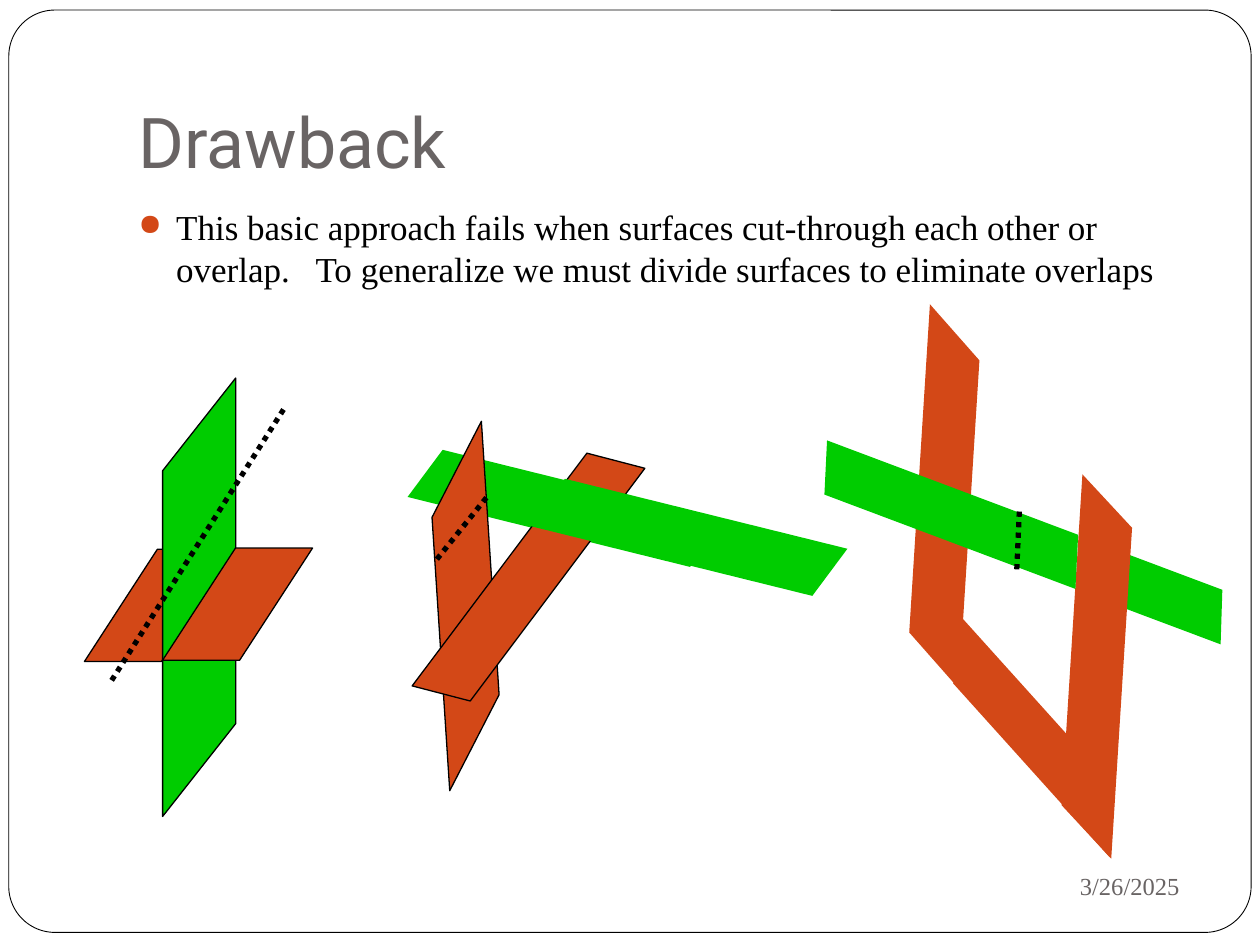
from dataclasses import dataclass

from lxml.etree import SubElement
from pptx import Presentation
from pptx.dml.color import RGBColor
from pptx.enum.dml import MSO_LINE
from pptx.enum.shapes import MSO_CONNECTOR, MSO_SHAPE
from pptx.enum.text import MSO_ANCHOR, PP_ALIGN
from pptx.oxml.ns import qn
from pptx.util import Inches, Pt

COLUMNS, ROWS = 100, 75
CELL = Inches(10) / COLUMNS


@dataclass(frozen=True)
class Theme:
    """Colours, fonts and type sizes of the slide."""
    paper: str = "FFFFFF"
    ink: str = "000000"
    muted: str = "696464"
    brown: str = "D34817"
    green: str = "00CC00"
    heading_font: str = "Roboto"
    body_font: str = "Times New Roman"
    heading_size: int = 40
    body_size: int = 20
    date_size: int = 14
    frame_line: float = 0.5
    outline: float = 0.75
    cut_line: float = 3


THEME = Theme()


def cells(*counts):
    """Convert counts of grid cells to slide lengths."""
    return [round(count * CELL) for count in counts]


def add_bullet(paragraph, color):
    """Give a paragraph a hanging round bullet."""
    indent = Inches(0.3)
    properties = paragraph._p.get_or_add_pPr()
    properties.set("marL", str(indent))
    properties.set("indent", str(-indent))
    bullet_color = SubElement(properties, qn("a:buClr"))
    SubElement(bullet_color, qn("a:srgbClr"), val=color)
    SubElement(properties, qn("a:buSzPct"), val="85000")
    SubElement(properties, qn("a:buChar"), char="●")


def add_text(slide, text, box, *, size, color, font=THEME.body_font,
             anchor=MSO_ANCHOR.TOP, align=PP_ALIGN.LEFT, bottom=0.05,
             space_before=0, bullet=None):
    """Write one formatted paragraph in a box given in grid cells."""
    frame = slide.shapes.add_textbox(*cells(*box)).text_frame
    frame.word_wrap = True
    frame.vertical_anchor = anchor
    frame.margin_bottom = Inches(bottom)
    paragraph = frame.paragraphs[0]
    paragraph.alignment = align
    paragraph.space_before = Pt(space_before)
    if bullet:
        add_bullet(paragraph, bullet)
    run = paragraph.add_run()
    run.text = text
    run.font.name = font
    run.font.size = Pt(size)
    run.font.color.rgb = RGBColor.from_string(color)


def add_preset(slide, preset, box, fill, *, adjust, outline=None):
    """Draw a preset shape with one adjustment and an optional black outline."""
    shape = slide.shapes.add_shape(preset, *cells(*box))
    shape.shadow.inherit = False
    shape.adjustments[0] = adjust
    shape.fill.solid()
    shape.fill.fore_color.rgb = RGBColor.from_string(fill)
    if outline:
        shape.line.width = Pt(outline)
        shape.line.color.rgb = RGBColor.from_string(THEME.ink)
    else:
        shape.line.fill.background()
    return shape


def add_surface(slide, box, fill, slant, *, turn=0, mirrored=False, outline=None):
    """Draw a slanted surface, turned clockwise in degrees."""
    surface = add_preset(slide, MSO_SHAPE.PARALLELOGRAM, box, fill,
                         adjust=slant, outline=outline)
    surface.rotation = turn
    if mirrored:
        surface._element.spPr.xfrm.set("flipH", "1")


def add_cut(slide, start, end):
    """Draw the dotted line along which a surface is divided."""
    cut = slide.shapes.add_connector(MSO_CONNECTOR.STRAIGHT, *cells(*start, *end))
    cut.line.width = Pt(THEME.cut_line)
    cut.line.color.rgb = RGBColor.from_string(THEME.ink)
    cut.line.dash_style = MSO_LINE.ROUND_DOT
    SubElement(cut._element.spPr, qn("a:effectLst"))


def add_crossing_planes(slide):
    """Draw two planes that cut through each other."""
    edge = THEME.outline
    add_surface(slide, (6.7, 43.6, 11.9, 8.9), THEME.brown, 0.65, outline=edge)
    add_surface(slide, (-1.6, 44.5, 34.8, 5.8), THEME.green, 1.27,
                turn=270, mirrored=True, outline=edge)
    add_surface(slide, (12.9, 43.5, 11.9, 8.9), THEME.brown, 0.65, outline=edge)
    add_cut(slide, (22.5, 32.5), (8.8, 54.1))


def add_overlapping_strips(slide):
    """Draw three strips that overlap in a cycle."""
    edge = THEME.outline
    add_surface(slide, (32.5, 38.2, 24.9, 4.3), THEME.green, 0.42, turn=13.9)
    add_surface(slide, (22.4, 45.9, 29.1, 4.4), THEME.brown, 1.67,
                turn=86.3, mirrored=True, outline=edge)
    add_surface(slide, (29.5, 43.6, 24.9, 4.4), THEME.brown, 0.41,
                turn=306.9, mirrored=True, outline=edge)
    add_surface(slide, (42.2, 40.5, 24.9, 4.3), THEME.green, 0.42, turn=13.9)
    add_cut(slide, (38.6, 39.5), (34.5, 44.6))


def add_threaded_bend(slide):
    """Draw a strip that passes behind and in front of a bent surface."""
    add_surface(slide, (88.4, 45.5, 9.5, 4.1), THEME.green, 0.34,
                turn=20.6, mirrored=True)
    add_surface(slide, (59.8, 37.3, 30.3, 4.2), THEME.brown, 1, turn=93.6)
    add_surface(slide, (70.7, 56.3, 22.6, 4), THEME.brown, 1.01,
                turn=48, mirrored=True)
    add_surface(slide, (71.9, 50.8, 30.3, 4.2), THEME.brown, 0.95, turn=93.6)
    add_surface(slide, (64.2, 38.8, 22.6, 4.1), THEME.green, 0.32,
                turn=20.6, mirrored=True)
    add_cut(slide, (80.9, 40.6), (80.7, 45.2))


def main():
    """Build and save the slide."""
    deck = Presentation()
    deck.slide_width, deck.slide_height = cells(COLUMNS, ROWS)
    slide = deck.slides.add_slide(deck.slide_layouts[6])
    add_preset(slide, MSO_SHAPE.ROUNDED_RECTANGLE, (0.7, 0.8, 98.6, 73.2),
               THEME.paper, adjust=0.05, outline=THEME.frame_line)
    add_text(slide, "Drawback", (10, 3, 85, 12.5), size=THEME.heading_size,
             color=THEME.muted, font=THEME.heading_font,
             anchor=MSO_ANCHOR.BOTTOM, bottom=0.1)
    add_text(slide, "3/26/2025", (67.5, 67.7, 27.1, 5.2), size=THEME.date_size,
             color=THEME.muted, anchor=MSO_ANCHOR.MIDDLE, align=PP_ALIGN.RIGHT)
    add_text(slide, "This basic approach fails when surfaces cut-through each "
             "other or overlap.   To generalize we must divide surfaces to "
             "eliminate overlaps", (10, 15.8, 85, 50), size=THEME.body_size,
             color=THEME.ink, space_before=5.8, bullet=THEME.brown)
    add_crossing_planes(slide)
    add_overlapping_strips(slide)
    add_threaded_bend(slide)
    deck.save("out.pptx")


if __name__ == "__main__":
    main()
